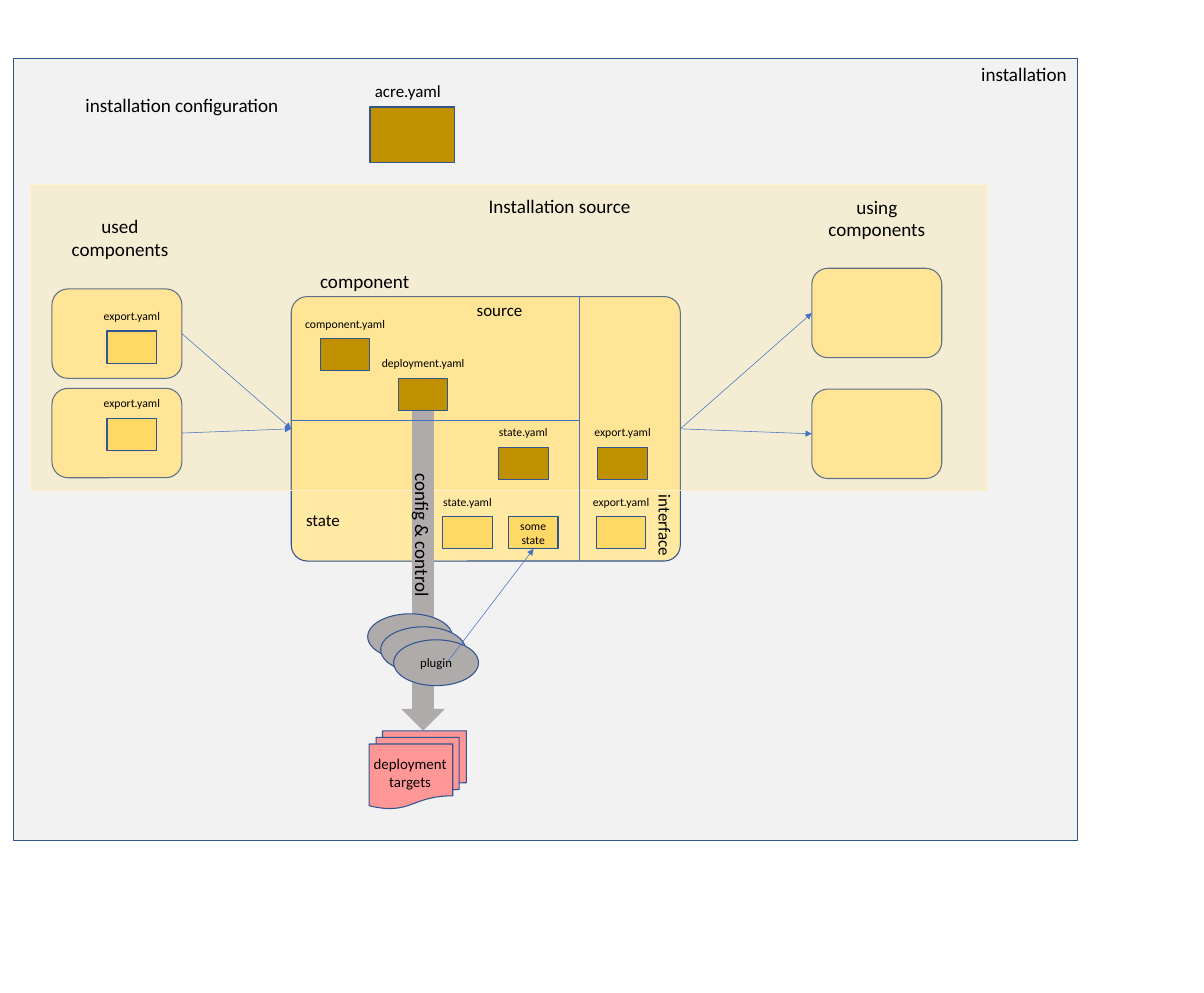
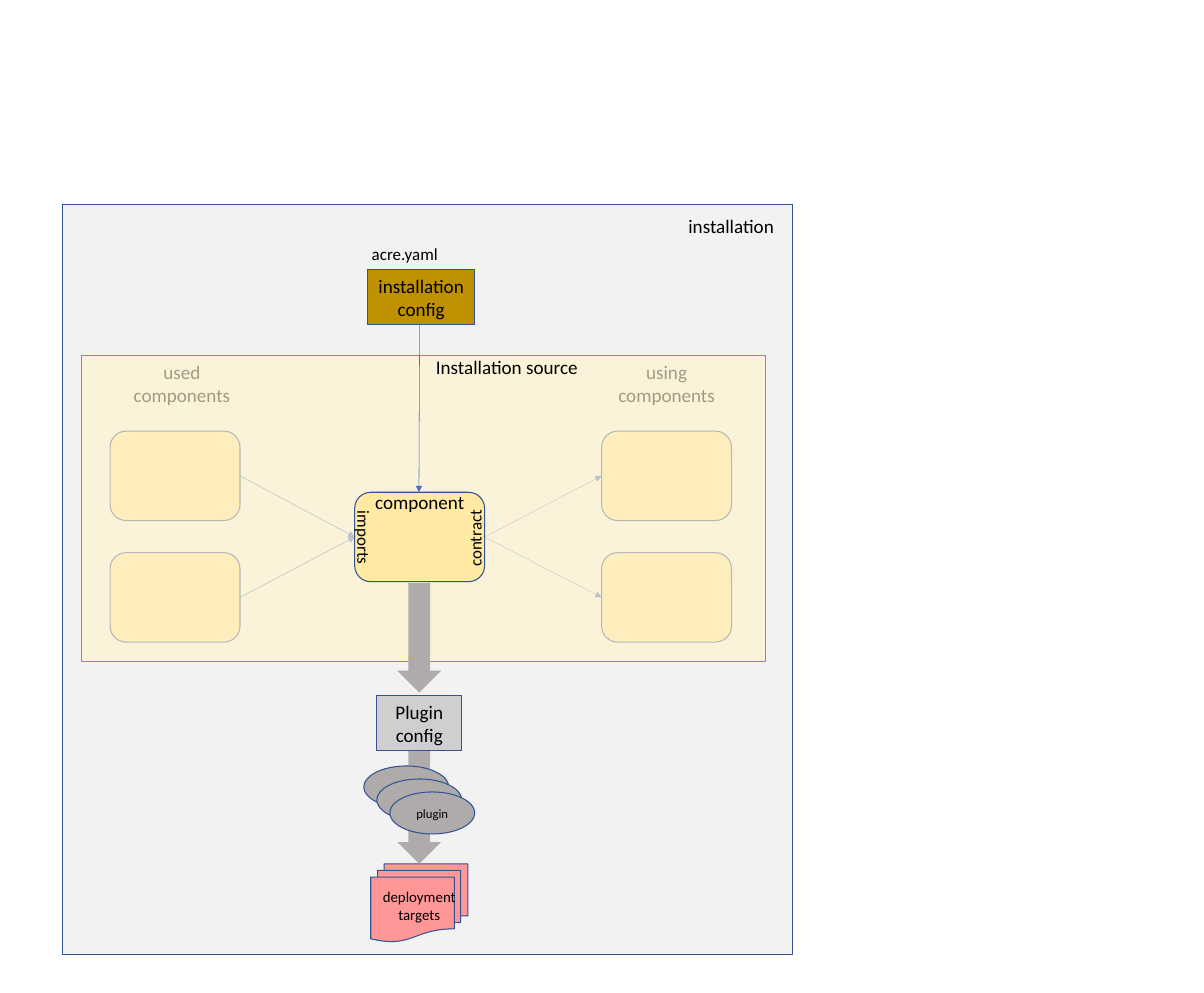
from itertools import product

from lxml.etree import SubElement
from pptx import Presentation
from pptx.dml.color import RGBColor
from pptx.enum.dml import MSO_LINE
from pptx.enum.shapes import MSO_CONNECTOR, MSO_SHAPE
from pptx.enum.text import MSO_ANCHOR, PP_ALIGN
from pptx.oxml.ns import qn
from pptx.util import Inches, Pt

FONT = "Calibri"
BLACK = RGBColor(0x00, 0x00, 0x00)
NAVY = RGBColor(0x32, 0x54, 0x91)
BLUE = RGBColor(0x44, 0x72, 0xC4)
PALE_GRAY = RGBColor(0xF2, 0xF2, 0xF2)
LIGHT_GRAY = RGBColor(0xD0, 0xCE, 0xCE)
GRAY = RGBColor(0xAF, 0xAB, 0xAB)
SAND = RGBColor(0xFF, 0xE9, 0xA3)
YELLOW = RGBColor(0xFF, 0xD9, 0x66)
GOLD = RGBColor(0xBF, 0x90, 0x00)
CREAM = RGBColor(0xFF, 0xF2, 0xCC)
PINK = RGBColor(0xFF, 0x97, 0x97)

STYLES = {
    "installation": (MSO_SHAPE.RECTANGLE, PALE_GRAY, NAVY, 100),
    "component": (MSO_SHAPE.ROUNDED_RECTANGLE, SAND, NAVY, 100),
    "source band": (MSO_SHAPE.RECTANGLE, YELLOW, CREAM, 22),
    "veil": (MSO_SHAPE.RECTANGLE, CREAM, GOLD, 64),
    "config file": (MSO_SHAPE.RECTANGLE, GOLD, NAVY, 100),
    "data file": (MSO_SHAPE.RECTANGLE, YELLOW, NAVY, 100),
    "plugin config": (MSO_SHAPE.RECTANGLE, LIGHT_GRAY, NAVY, 100),
    "plugin": (MSO_SHAPE.OVAL, GRAY, NAVY, 100),
    "control": (MSO_SHAPE.DOWN_ARROW, GRAY, None, 100),
    "targets": (MSO_SHAPE.FLOWCHART_MULTIDOCUMENT, PINK, NAVY, 100),
}

COMPONENT_SIZE = (1.7, 1.17)
FILE_SIZE = (0.65, 0.42)
FILE_LABEL_SIZE = (1.42, 0.35)
CORNER_RADIUS = 0.21
PLUGIN_COUNT, PLUGIN_STEP, PLUGIN_WIDTH = 3, 0.17, 1.11


def components(left, *tops):
    return [(left, top, *COMPONENT_SIZE) for top in tops]


USED_1, USING_1 = components(0.68, 3.78, 5.08), components(10.62, 3.51, 5.09)
USED_2, USING_2 = components(1.44, 5.64, 7.23), components(7.87, 5.64, 7.23)
MAIN_1 = (3.81, 3.88, 5.09, 3.46)
MAIN_2 = (4.64, 6.44, *COMPONENT_SIZE)

SLIDES = [
    [
        ("shape", "installation", (0.18, 0.77, 13.92, 10.23)),
        *[("shape", "component", box) for box in [MAIN_1, *USED_1, *USING_1]],
        ("shape", "source band", (0.4, 2.41, 12.52, 4.01)),
        ("file", "data file", 1.4, 4.33, "export.yaml"),
        ("file", "data file", 1.4, 5.47, "export.yaml"),
        ("text", "used\ncomponents", 0.83, 2.75, 1.48),
        ("text", "using\ncomponents", 10.73, 2.5, 1.48),
        ("shape", "config file", (4.84, 1.4, 1.11, 0.72)),
        ("text", "acre.yaml", 4.8, 1, 1.07, 16),
        ("file", "config file", 4.19, 4.43, "component.yaml"),
        ("file", "config file", 6.52, 5.85, "state.yaml"),
        ("file", "config file", 7.82, 5.85, "export.yaml"),
        ("shape", "control", (5.25, 5.31, 0.57, 4.25)),
        ("shape", "targets", (4.83, 9.56, 1.27, 1.02)),
        ("text", "deployment\ntargets", 4.78, 9.82, 1.17, 14),
        ("line", (3.81, 5.5), (7.58, 5.5)),
        ("line", (7.58, 7.34), (7.58, 3.87)),
        ("file", "data file", 7.8, 6.76, "export.yaml"),
        ("file", "data file", 5.79, 6.76, "state.yaml"),
        ("shape", "data file", (6.65, 6.76, *FILE_SIZE), "some\nstate", 11),
        ("text", "state", 3.9, 6.62, 0.65, 16),
        ("text", "interface", 8.2, 6.69, 1.01, 16, 90),
        ("text", "source", 6.13, 3.87, 0.81, 16),
        ("text", "component", 4.08, 3.47, 1.38),
        ("file", "config file", 5.21, 4.95, "deployment.yaml"),
        ("text", "config & control", 4.61, 6.8, 1.84, 18, 90),
        ("flow", USED_1, [MAIN_1]),
        ("flow", [MAIN_1], USING_1),
        ("text", "installation configuration", 1, 1.17, 2.76),
        ("text", "Installation source", 6.28, 2.49, 2.08),
        ("text", "installation", 12.73, 0.77, 1.33),
        ("plugins", 4.81, 8.03, 0.6),
        ("line", (5.86, 8.65), (6.98, 7.18), True),
    ],
    [
        ("shape", "installation", (0.82, 2.67, 9.55, 9.82)),
        *[("shape", "component", box) for box in USED_2 + USING_2],
        ("text", "used\ncomponents", 1.64, 4.67, 1.48),
        ("text", "using\ncomponents", 7.98, 4.67, 1.48),
        ("shape", "config file", (4.81, 3.53, 1.4, 0.72), "installation\nconfig"),
        ("text", "acre.yaml", 4.76, 3.14, 1.07, 16),
        ("shape", "targets", (4.85, 11.3, 1.27, 1.02)),
        ("text", "deployment\ntargets", 4.9, 11.56, 1.17, 14),
        ("flow", USED_2, [MAIN_2]),
        ("flow", [MAIN_2], USING_2, MSO_LINE.ROUND_DOT),
        ("text", "installation", 8.9, 2.76, 1.33),
        ("shape", "control", (5.2, 9.82, 0.57, 1.48)),
        ("plugins", 4.76, 10.02, 0.55),
        ("shape", "plugin config", (4.93, 9.1, 1.11, 0.72), "Plugin\nconfig"),
        ("shape", "veil", (1.07, 4.65, 8.94, 4.01)),
        ("shape", "component", MAIN_2),
        ("shape", "control", (5.2, 7.63, 0.57, 1.43)),
        ("text", "component", 4.8, 6.37, 1.38),
        ("text", "contract", 5.73, 6.86, 0.96, 16, 270),
        ("text", "imports", 4.31, 6.85, 0.91, 16, 90),
        ("line", (5.49, 4.24), (5.48, 6.44), True),
        ("text", "Installation source", 5.59, 4.6, 2.08),
    ],
]


def apply(target, values):
    for name, value in values.items():
        setattr(target, name, value)


def inches(lengths):
    return [Inches(length) for length in lengths]


def write(shape, text, size):
    frame = shape.text_frame
    apply(frame, {"text": text, "word_wrap": False, "vertical_anchor": MSO_ANCHOR.MIDDLE,
                  "margin_left": 0, "margin_right": 0, "margin_top": 0, "margin_bottom": 0})
    for paragraph in frame.paragraphs:
        paragraph.alignment = PP_ALIGN.CENTER
        for run in paragraph.runs:
            apply(run.font, {"name": FONT, "size": Pt(size)})
            run.font.color.rgb = BLACK


def add_shape(slide, style, box, text="", size=18):
    preset, fill, outline, opacity = STYLES[style]
    shape = slide.shapes.add_shape(preset, *inches(box))
    shape.shadow.inherit = False
    shape.fill.solid()
    shape.fill.fore_color.rgb = fill
    if opacity < 100:
        color = shape.fill._xPr.find(qn("a:solidFill"))[0]
        SubElement(color, qn("a:alpha"), val=str(opacity * 1000))
    if outline is None:
        shape.line.fill.background()
    else:
        shape.line.color.rgb = outline
        shape.line.width = Pt(1)
    if preset == MSO_SHAPE.ROUNDED_RECTANGLE:
        shape.adjustments[0] = CORNER_RADIUS / min(box[2:])
    if text:
        write(shape, text, size)


def add_text(slide, text, left, top, width, size=18, rotation=0):
    height = (text.count("\n") + 1) * size * 1.2 / 72 + 0.1
    shape = slide.shapes.add_textbox(*inches((left, top, width, height)))
    shape.rotation = rotation
    write(shape, text, size)


def add_file(slide, style, left, top, name):
    add_shape(slide, style, (left, top, *FILE_SIZE))
    width, height = FILE_LABEL_SIZE
    label_left = left + (FILE_SIZE[0] - width) / 2
    label = slide.shapes.add_textbox(*inches((label_left, top - height, width, height)))
    write(label, name, 11)
    label.text_frame.margin_bottom = Inches(0.05)


def add_line(slide, start, end, arrow=False, dash=None):
    line = slide.shapes.add_connector(MSO_CONNECTOR.STRAIGHT, *inches((*start, *end)))
    line.line.color.rgb = BLUE
    apply(line.line, {"width": Pt(0.5), "dash_style": dash})
    if arrow:
        SubElement(line.line._get_or_add_ln(), qn("a:tailEnd"), type="triangle")
    SubElement(line._element.spPr, qn("a:effectLst"))


def add_flow(slide, sources, goals, dash=None):
    for source, goal in product(sources, goals):
        start = (source[0] + source[2], source[1] + source[3] / 2)
        end = (goal[0], goal[1] + goal[3] / 2)
        add_line(slide, start, end, True, dash)


def add_plugins(slide, left, top, height):
    for index in range(PLUGIN_COUNT):
        offset = index * PLUGIN_STEP
        text = "plugin" if index == PLUGIN_COUNT - 1 else ""
        add_shape(slide, "plugin", (left + offset, top + offset, PLUGIN_WIDTH, height), text, 12)


BUILDERS = {"shape": add_shape, "text": add_text, "file": add_file,
            "line": add_line, "flow": add_flow, "plugins": add_plugins}


def main():
    presentation = Presentation()
    apply(presentation, {"slide_width": Inches(15.75), "slide_height": Inches(12.99)})
    for items in SLIDES:
        slide = presentation.slides.add_slide(presentation.slide_layouts[6])
        for kind, *arguments in items:
            BUILDERS[kind](slide, *arguments)
    presentation.save("out.pptx")


if __name__ == "__main__":
    main()
